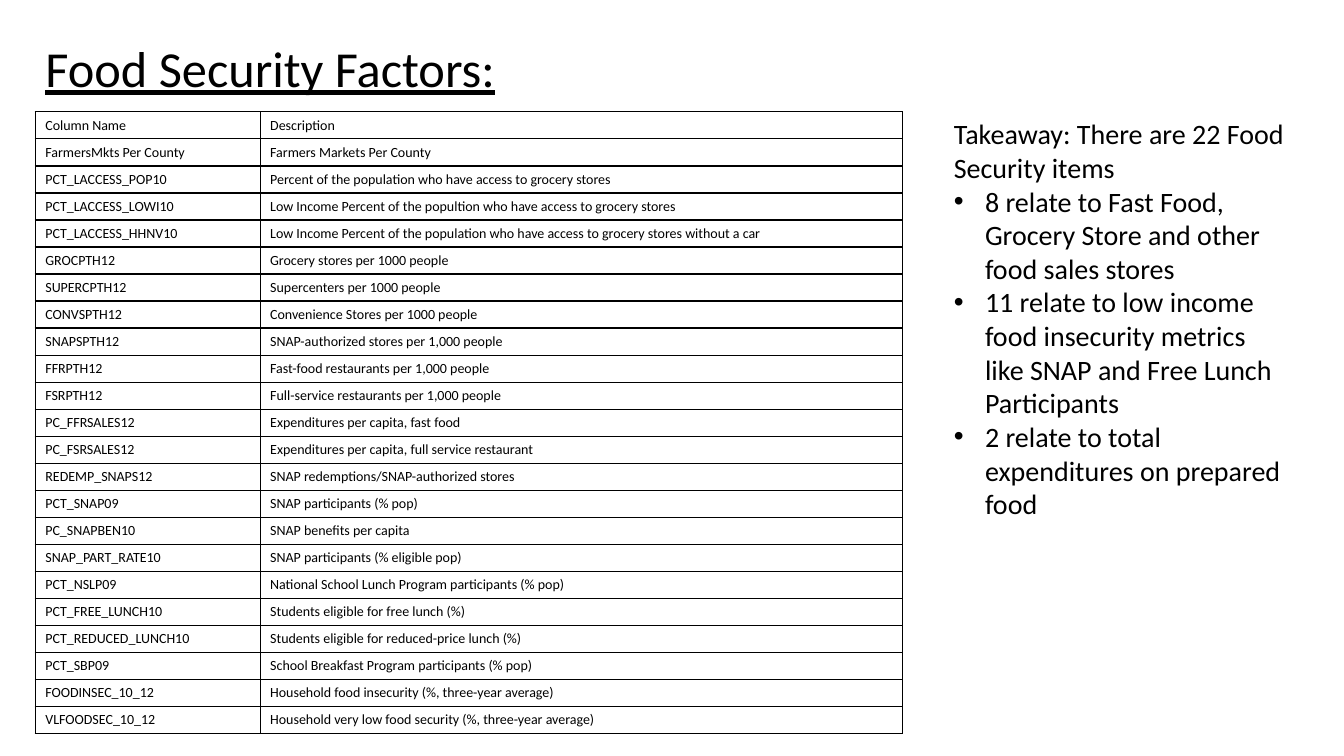
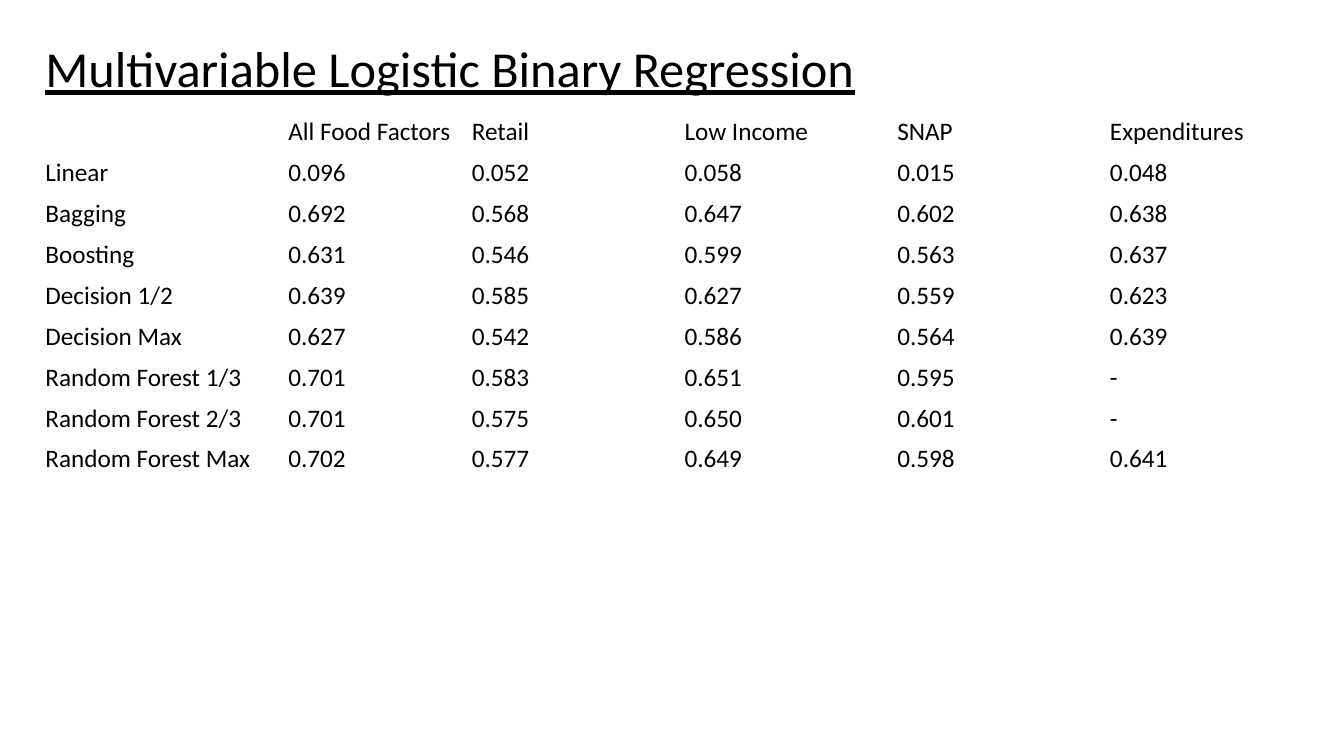
import lxml.etree
import pptx
import pptx.dml.color
import pptx.enum.text
import pptx.oxml.ns
import pptx.util

Inches = pptx.util.Inches
COLORS = {"text": "000000", "border": "000000"}
FONT = "Calibri"
LEFT = 0.35
TABLE_TOP = 1.11


def add_run(paragraph, text, size, underline=None):
    run = paragraph.add_run()
    run.text = text
    run.font.name = FONT
    run.font.size = pptx.util.Pt(size)
    run.font.underline = underline
    run.font.color.rgb = pptx.dml.color.RGBColor.from_string(COLORS["text"])


def add_table(slide, rows, widths, height, size, anchor, bordered):
    frame = slide.shapes.add_table(
        len(rows), len(widths), Inches(LEFT), Inches(TABLE_TOP),
        Inches(sum(widths)), Inches(height))
    table = frame.table
    table.first_row = False
    table.horz_banding = False
    for column, width in zip(table.columns, widths):
        column.width = Inches(width)
    for row, texts in zip(table.rows, rows):
        row.height = Inches(height / len(rows))
        for cell, text in zip(row.cells, texts):
            cell.fill.background()
            cell.vertical_anchor = anchor
            if text:
                add_run(cell.text_frame.paragraphs[0], text, size)
            if bordered:
                properties = cell._tc.get_or_add_tcPr()
                for position, side in enumerate(("a:lnL", "a:lnR", "a:lnT", "a:lnB")):
                    line = lxml.etree.Element(pptx.oxml.ns.qn(side), w=str(pptx.util.Pt(1)))
                    fill = lxml.etree.SubElement(line, pptx.oxml.ns.qn("a:solidFill"))
                    lxml.etree.SubElement(
                        fill, pptx.oxml.ns.qn("a:srgbClr"), val=COLORS["border"])
                    properties.insert(position, line)


presentation = pptx.Presentation()
presentation.slide_width = Inches(13.33)
presentation.slide_height = Inches(7.5)

slides = []
for layout_index, title_text, title_width in (
    (1, "Food Security Factors:", 11.5),
    (5, "Multivariable Logistic Binary Regression", 11.89),
):
    slide = presentation.slides.add_slide(presentation.slide_layouts[layout_index])
    title = slide.shapes.title
    title.left, title.top = Inches(LEFT), Inches(0.3)
    title.width, title.height = Inches(title_width), Inches(0.81)
    title.text_frame.auto_size = pptx.enum.text.MSO_AUTO_SIZE.NONE
    title.text_frame.vertical_anchor = pptx.enum.text.MSO_ANCHOR.MIDDLE
    paragraph = title.text_frame.paragraphs[0]
    paragraph.alignment = pptx.enum.text.PP_ALIGN.LEFT
    paragraph.line_spacing = 0.9
    add_run(paragraph, title_text, 36, underline=True)
    slides.append(slide)
factors_slide, regression_slide = slides

factors = [
    ("Column Name", "Description"),
    ("FarmersMkts Per County", "Farmers Markets Per County"),
    ("PCT_LACCESS_POP10", "Percent of the population who have access to grocery stores"),
    ("PCT_LACCESS_LOWI10",
     "Low Income Percent of the popultion who have access to grocery stores"),
    ("PCT_LACCESS_HHNV10",
     "Low Income Percent of the population who have access to grocery stores without a car"),
    ("GROCPTH12", "Grocery stores per 1000 people"),
    ("SUPERCPTH12", "Supercenters per 1000 people"),
    ("CONVSPTH12", "Convenience Stores per 1000 people"),
    ("SNAPSPTH12", "SNAP-authorized stores per 1,000 people"),
    ("FFRPTH12", "Fast-food restaurants per 1,000 people"),
    ("FSRPTH12", "Full-service restaurants per 1,000 people"),
    ("PC_FFRSALES12", "Expenditures per capita, fast food"),
    ("PC_FSRSALES12", "Expenditures per capita, full service restaurant"),
    ("REDEMP_SNAPS12", "SNAP redemptions/SNAP-authorized stores"),
    ("PCT_SNAP09", "SNAP participants (% pop)"),
    ("PC_SNAPBEN10", "SNAP benefits per capita"),
    ("SNAP_PART_RATE10", "SNAP participants (% eligible pop)"),
    ("PCT_NSLP09", "National School Lunch Program participants (% pop)"),
    ("PCT_FREE_LUNCH10", "Students eligible for free lunch (%)"),
    ("PCT_REDUCED_LUNCH10", "Students eligible for reduced-price lunch (%)"),
    ("PCT_SBP09", "School Breakfast Program participants (% pop)"),
    ("FOODINSEC_10_12", "Household food insecurity (%, three-year average)"),
    ("VLFOODSEC_10_12", "Household very low food security (%, three-year average)"),
]
add_table(factors_slide, factors, [2.23, 6.37], 6.17, 10,
          pptx.enum.text.MSO_ANCHOR.MIDDLE, bordered=True)

takeaway = factors_slide.placeholders[1]
takeaway.left, takeaway.top = Inches(9.36), Inches(TABLE_TOP)
takeaway.width, takeaway.height = Inches(3.51), Inches(4.14)
text_frame = takeaway.text_frame
text_frame.auto_size = pptx.enum.text.MSO_AUTO_SIZE.SHAPE_TO_FIT_TEXT
takeaway_lines = [
    ("Takeaway: There are 22 Food Security items", False),
    ("8 relate to Fast Food, Grocery Store and other food sales stores", True),
    ("11 relate to low income food insecurity metrics like SNAP and Free Lunch Participants",
     True),
    ("2 relate to total expenditures on prepared food", True),
]
for index, (text, bulleted) in enumerate(takeaway_lines):
    paragraph = text_frame.add_paragraph() if index else text_frame.paragraphs[0]
    paragraph.space_before = pptx.util.Pt(0)
    add_run(paragraph, text, 20)
    properties = paragraph._p.get_or_add_pPr()
    indent = Inches(0.31) if bulleted else 0
    properties.set("marL", str(indent))
    properties.set("indent", str(-indent))
    if bulleted:
        lxml.etree.SubElement(properties, pptx.oxml.ns.qn("a:buFont"), typeface="Arial")
        lxml.etree.SubElement(properties, pptx.oxml.ns.qn("a:buChar"), char="•")
    else:
        lxml.etree.SubElement(properties, pptx.oxml.ns.qn("a:buNone"))

scores = [
    ("", "All Food Factors", "Retail", "Low Income", "SNAP", "Expenditures"),
    ("Linear", "0.096", "0.052", "0.058", "0.015", "0.048"),
    ("Bagging", "0.692", "0.568", "0.647", "0.602", "0.638"),
    ("Boosting", "0.631", "0.546", "0.599", "0.563", "0.637"),
    ("Decision 1/2", "0.639", "0.585", "0.627", "0.559", "0.623"),
    ("Decision Max", "0.627", "0.542", "0.586", "0.564", "0.639"),
    ("Random Forest 1/3", "0.701", "0.583", "0.651", "0.595", "-"),
    ("Random Forest 2/3", "0.701", "0.575", "0.650", "0.601", "-"),
    ("Random Forest Max", "0.702", "0.577", "0.649", "0.598", "0.641"),
]
add_table(regression_slide, scores, [2.41, 1.82] + [2.11] * 4, 3.65, 18,
          pptx.enum.text.MSO_ANCHOR.TOP, bordered=False)

presentation.save("out.pptx")
